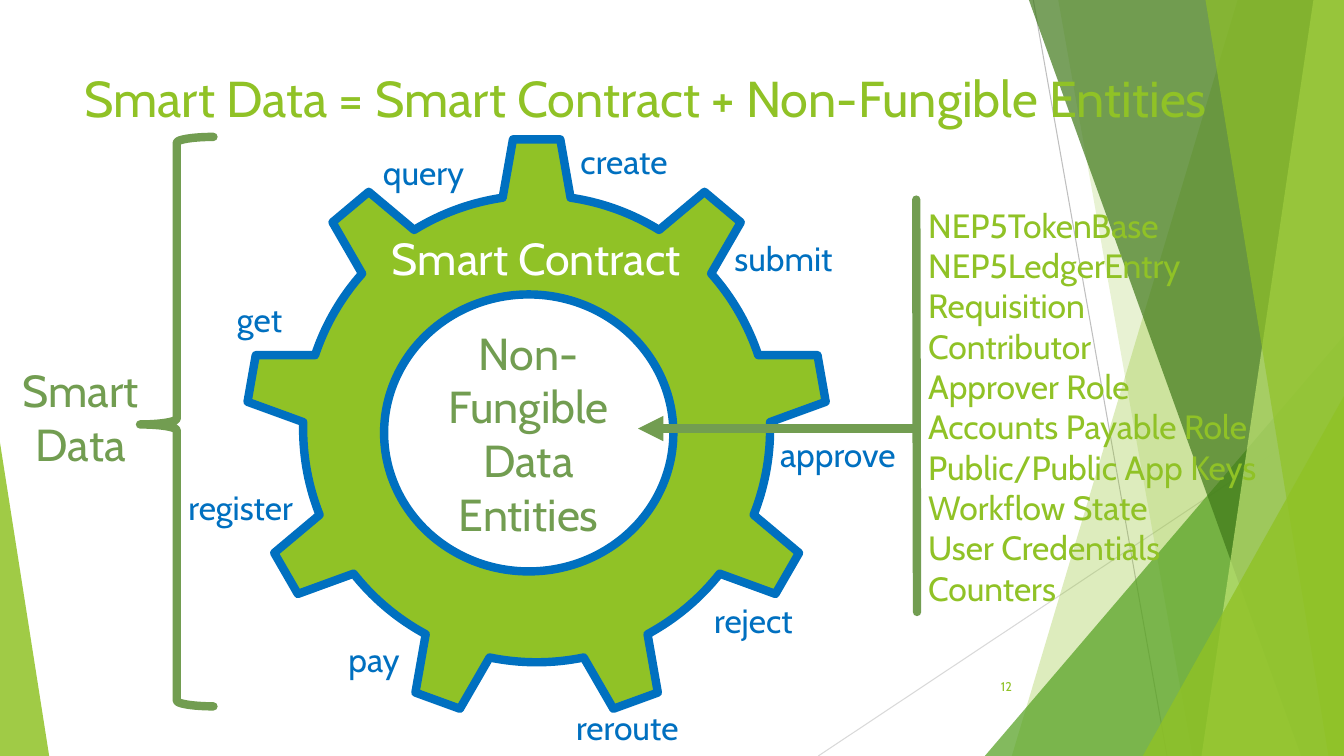
from lxml import etree
from pptx import Presentation
from pptx import util as u
from pptx.dml import color
from pptx.enum import shapes, text
from pptx.oxml import ns

FONT = "Cabin"
LIME, SAGE, BLUE, WHITE = "90C226", "729D51", "0070C0", "FFFFFF"
WIDTH, HEIGHT = 33.87, 19.05
HEAVY = 6

BACKGROUND_LINES = [
    ((26.04, 0), (29.41, HEIGHT), "BFBFBF"),
    ((WIDTH, 10.24), (20.62, HEIGHT), "D9D9D9"),
]
FACETS = [
    ("band", (31.19, 25.5), LIME, 30),
    ("band", (26.67, 30.05), LIME, 20),
    ("triangle", (24.82, 8.46, 9.05, 1), "54A021", 72),
    ("band", (25.93, 32.79), "3F7819", 70),
    ("band", (33.1, 30.28), "C0E474", 70),
    ("band", (30.38, 33.48), LIME, 65),
    ("triangle", (28.8, 9.98, 5.07, 1), LIME, 80),
    ("triangle", (0, 11.15, 1.24, 0), LIME, 85),
]
TITLE = "Smart Data = Smart Contract + Non-Fungible Entities"
ENTITIES = [
    "NEP5TokenBase", "NEP5LedgerEntry", "Requisition", "Contributor",
    "Approver Role", "Accounts Payable Role", "Public/Public App Keys",
    "Workflow State", "User Credentials", "Counters",
]
OPERATIONS = [
    ("create", 14.38, 3.43, 3.0),
    ("submit", 18.26, 5.87, 3.1),
    ("approve", 19.41, 10.8, 3.61),
    ("reject", 17.75, 14.99, 2.84),
    ("reroute", 14.27, 17.7, 3.38),
    ("pay", 8.53, 15.98, 1.85),
    ("register", 4.5, 12.14, 3.48),
    ("query", 9.4, 3.71, 2.69),
    ("get", 5.72, 7.42, 1.75),
]

presentation = Presentation()
presentation.slide_width = u.Cm(WIDTH)
presentation.slide_height = u.Cm(HEIGHT)
slide = presentation.slides.add_slide(presentation.slide_layouts[6])


def rgb(value):
    return color.RGBColor.from_string(value)


def lengths(*values):
    return [u.Cm(value) for value in values]


def paint(shape, fill=None, line=None, opacity=100):
    shape.shadow.inherit = False
    if fill:
        shape.fill.solid()
        shape.fill.fore_color.rgb = rgb(fill)
        if opacity < 100:
            tint = shape.fill._xPr.find(".//" + ns.qn("a:srgbClr"))
            etree.SubElement(tint, ns.qn("a:alpha"), val=str(opacity * 1000))
    else:
        shape.fill.background()
    if line:
        shape.line.color.rgb = rgb(line)
        shape.line.width = u.Pt(HEAVY)
    else:
        shape.line.fill.background()


def add_preset(kind, box, adjustments=(), **look):
    shape = slide.shapes.add_shape(kind, *lengths(*box))
    for index, value in enumerate(adjustments):
        shape.adjustments[index] = value
    paint(shape, **look)
    return shape


def add_line(start, end, line_color, width, arrow=False):
    connector = slide.shapes.add_connector(
        shapes.MSO_CONNECTOR.STRAIGHT, *lengths(*start, *end))
    connector.line.color.rgb = rgb(line_color)
    connector.line.width = u.Pt(width)
    outline = connector.line._get_or_add_ln()
    if width == HEAVY:
        outline.set("cap", "rnd")
    if arrow:
        etree.SubElement(outline, ns.qn("a:tailEnd"), type="triangle")
    etree.SubElement(connector._element.spPr, ns.qn("a:effectLst"))


def write(words, box=None, shape=None, size=24, ink=LIME, align="LEFT", anchor="TOP"):
    shape = shape or slide.shapes.add_textbox(*lengths(*box))
    frame = shape.text_frame
    frame.word_wrap = True
    frame.vertical_anchor = getattr(text.MSO_ANCHOR, anchor)
    frame.text = words
    for paragraph in frame.paragraphs:
        paragraph.alignment = getattr(text.PP_ALIGN, align)
        paragraph.font.name = FONT
        paragraph.font.size = u.Pt(size)
        paragraph.font.color.rgb = rgb(ink)


for start, end, shade in BACKGROUND_LINES:
    add_line(start, end, shade, 0.75)

for kind, geometry, fill, opacity in FACETS:
    if kind == "band":
        top_x, bottom_x = geometry
        builder = slide.shapes.build_freeform(*lengths(top_x, 0))
        corners = [(WIDTH, 0), (WIDTH, HEIGHT), (bottom_x, HEIGHT)]
        builder.add_line_segments([lengths(*corner) for corner in corners])
        paint(builder.convert_to_shape(), fill=fill, opacity=opacity)
    else:
        left, top, width, apex = geometry
        add_preset(shapes.MSO_SHAPE.ISOSCELES_TRIANGLE,
                   (left, top, width, HEIGHT - top), [apex],
                   fill=fill, opacity=opacity)

write(TITLE, (1.88, 1.57, 31.34, 3.66), size=36)
write("12", (23.85, 16.79, 1.9, 1.02), size=9, align="RIGHT", anchor="MIDDLE")

add_preset(shapes.MSO_SHAPE.GEAR_9, (6.17, 3.45, 14.71, 14.71), fill=LIME, line=BLUE)
write("Smart Contract", (9.17, 5.7, 8.7, 1.6), size=32, ink=WHITE,
      align="CENTER", anchor="MIDDLE")
hub = add_preset(shapes.MSO_SHAPE.OVAL, (9.68, 7.42, 7.29, 6.98), fill=WHITE, line=BLUE)
write("Non-Fungible Data Entities", shape=hub, size=32, ink=SAGE,
      align="CENTER", anchor="MIDDLE")

brace = add_preset(shapes.MSO_SHAPE.LEFT_BRACE, (3.53, 3.45, 1.85, 14.35),
                   [0.08, 0.505], line=SAGE)
brace.line._get_or_add_ln().set("cap", "rnd")
write("Smart\nData", (0.28, 9.02, 3.51, 3), size=32, ink=SAGE, align="CENTER")

add_line((23.06, 10.8), (16.08, 10.8), SAGE, HEAVY, arrow=True)
add_line((23.09, 5.03), (23.11, 15.42), SAGE, HEAVY)
write("\n".join(ENTITIES), (23.14, 5.03, 10.52, 10.52))

for operation, left, top, width in OPERATIONS:
    write(operation, (left, top, width, 1.27), ink=BLUE)

presentation.save("out.pptx")
